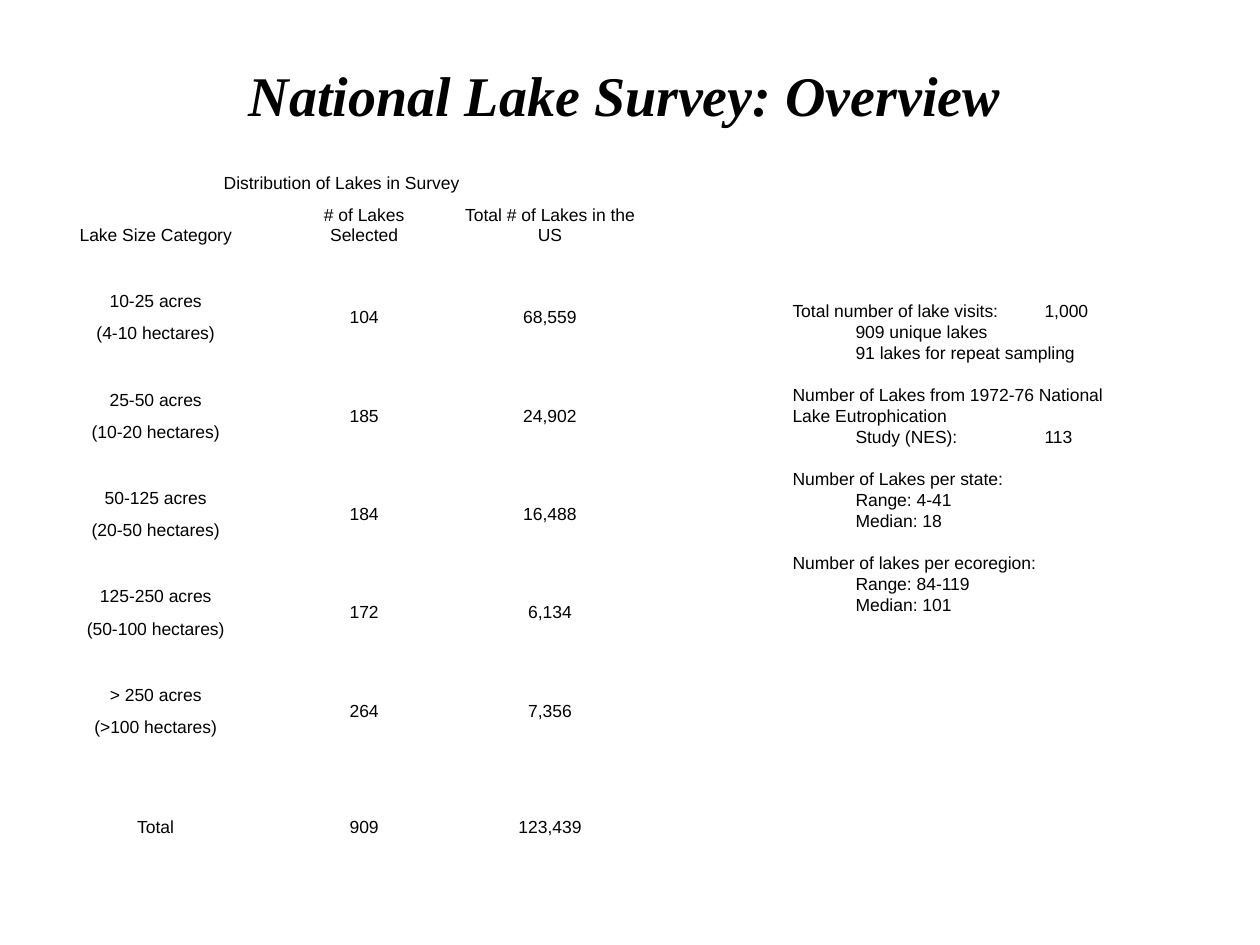
from dataclasses import dataclass
from typing import NamedTuple

from lxml.etree import SubElement
from pptx import Presentation
from pptx.dml.color import RGBColor
from pptx.enum.text import MSO_ANCHOR as Anchor, MSO_AUTO_SIZE as AutoSize, PP_ALIGN as Align
from pptx.oxml.ns import qn
from pptx.util import Inches, Pt


@dataclass(frozen=True)
class Theme:
    """Colours, fonts, type sizes and line pitches of the slide."""
    ink: RGBColor = RGBColor(0, 0, 0)
    title_font: str = "Times New Roman"
    font: str = "Arial"
    title_size: Pt = Pt(32)
    size: Pt = Pt(10)
    table_pitch: Pt = Pt(11.2)
    list_pitch: Pt = Pt(12)


class LakeClass(NamedTuple):
    """One lake size category with its counts."""
    acres: str
    hectares: str
    selected: str
    total: str


THEME = Theme()
LAKES = [
    LakeClass("10-25 acres", "(4-10 hectares)", "104", "68,559"),
    LakeClass("25-50 acres", "(10-20 hectares)", "185", "24,902"),
    LakeClass("50-125 acres", "(20-50 hectares)", "184", "16,488"),
    LakeClass("125-250 acres", "(50-100 hectares)", "172", "6,134"),
    LakeClass("> 250 acres", "(>100 hectares)", "264", "7,356"),
]
HEADINGS = ("Lake Size Category", "# of Lakes Selected", "Total # of Lakes in the US")
TOTALS = ("Total", "909", "123,439")
COLUMNS = (1.97, 1.34, 1.61)
FACTS = [
    ("Total number of lake visits: \t1,000", "\t909 unique lakes",
     "\t91 lakes for repeat sampling"),
    ("Number of Lakes from 1972-76 National \tLake Eutrophication",
     "\tStudy (NES):\t\t113"),
    ("Number of Lakes per state:", "\tRange: 4-41", "\tMedian: 18"),
    ("Number of lakes per ecoregion:", "\tRange: 84-119", "\tMedian: 101"),
]


def write(p, text: str, *, size=THEME.size, font=THEME.font, bold=False,
          italic=False, align=Align.LEFT, pitch=None, before=Pt(0)) -> None:
    """Put one formatted run into a paragraph."""
    p.alignment = align
    p.space_before = before
    if pitch is not None:
        p.line_spacing = pitch
    r = p.add_run()
    r.text = text
    r.font.size, r.font.name = size, font
    r.font.bold, r.font.italic = bold, italic
    r.font.color.rgb = THEME.ink


def place(sp, left: float, top: float, width: float, height: float) -> None:
    """Move and size a shape in inches."""
    sp.left, sp.top = Inches(left), Inches(top)
    sp.width, sp.height = Inches(width), Inches(height)


def fill_cell(table, row: int, col: int, text: str, anchor=Anchor.BOTTOM) -> None:
    """Write centred text into a table cell."""
    cell = table.cell(row, col)
    cell.vertical_anchor = anchor
    write(cell.text_frame.paragraphs[0], text, align=Align.CENTER,
          pitch=THEME.table_pitch)


def add_lake_table(s) -> None:
    """Draw the distribution table with a spacer row before each category."""
    n_rows = 3 * len(LAKES) + 5
    row_height = THEME.table_pitch + 2 * Inches(0.05)
    height = n_rows * row_height + THEME.table_pitch
    table = s.shapes.add_table(n_rows, len(COLUMNS), Inches(0.25), Inches(1.33),
                               Inches(sum(COLUMNS)), height).table
    table.first_row = table.horz_banding = False
    for column, width in zip(table.columns, COLUMNS):
        column.width = Inches(width)
    for row in table.rows:
        row.height = row_height
        for cell in row.cells:
            cell.fill.background()
            p = cell.text_frame.paragraphs[0]
            p.line_spacing = THEME.table_pitch
            p._p.get_or_add_endParaRPr().set("sz", str(int(THEME.size.pt * 100)))
    table.rows[1].height = row_height + THEME.table_pitch

    table.cell(0, 0).merge(table.cell(0, len(COLUMNS) - 1))
    fill_cell(table, 0, 0, "Distribution of Lakes in Survey", Anchor.MIDDLE)
    for col, (heading, total) in enumerate(zip(HEADINGS, TOTALS)):
        fill_cell(table, 1, col, heading)
        fill_cell(table, n_rows - 1, col, total)
    for i, lake in enumerate(LAKES):
        top = 3 + 3 * i
        fill_cell(table, top, 0, lake.acres)
        fill_cell(table, top + 1, 0, lake.hectares)
        for col, count in enumerate((lake.selected, lake.total), start=1):
            table.cell(top, col).merge(table.cell(top + 1, col))
            fill_cell(table, top, col, count, Anchor.MIDDLE)


def plain_list(p) -> None:
    """Remove the bullet and indent and set a tab stop at every inch."""
    pPr = p._p.get_or_add_pPr()
    pPr.set("marL", "0")
    pPr.set("indent", "0")
    SubElement(pPr, qn("a:buNone"))
    tabs = SubElement(pPr, qn("a:tabLst"))
    for inch in (1, 2, 3):
        SubElement(tabs, qn("a:tab"), pos=str(Inches(inch)), algn="l")


def fill_facts(sp) -> None:
    """Write the grouped survey facts into the body placeholder."""
    place(sp, 6.25, 2.34, 2.88, 3.25)
    tf = sp.text_frame
    tf.word_wrap, tf.auto_size = True, AutoSize.NONE
    tf.vertical_anchor = Anchor.TOP
    tf.margin_left = tf.margin_right = tf.margin_top = tf.margin_bottom = Inches(0.04)
    for g, group in enumerate(FACTS):
        for i, line in enumerate(group):
            p = tf.paragraphs[0] if g == i == 0 else tf.add_paragraph()
            plain_list(p)
            write(p, line, pitch=THEME.list_pitch,
                  before=THEME.list_pitch if g and i == 0 else Pt(0))


def main() -> None:
    """Build and save the slide."""
    prs = Presentation()
    prs.slide_width, prs.slide_height = Inches(10), Inches(7.5)
    s = prs.slides.add_slide(prs.slide_layouts[1])
    title = s.shapes.title
    place(title, 0.75, 0.33, 8.42, 0.83)
    title.text_frame.vertical_anchor = Anchor.MIDDLE
    title.text_frame.auto_size = AutoSize.NONE
    write(title.text_frame.paragraphs[0], "National Lake Survey: Overview",
          size=THEME.title_size, font=THEME.title_font, bold=True, italic=True,
          align=Align.CENTER)
    add_lake_table(s)
    fill_facts(s.placeholders[1])
    prs.save("out.pptx")


if __name__ == "__main__":
    main()
